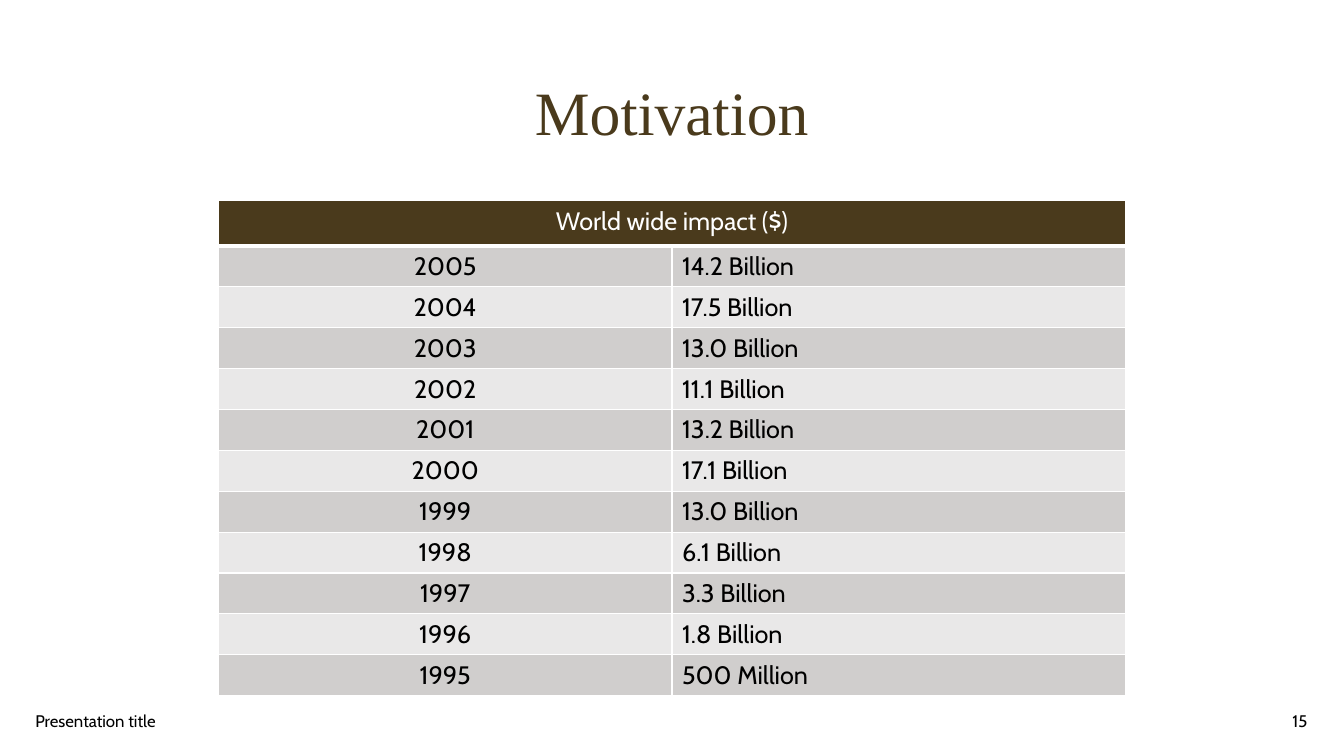
from lxml.etree import SubElement
from pptx import Presentation
from pptx.dml.color import RGBColor
from pptx.enum.text import MSO_ANCHOR as Anchor, PP_ALIGN as Align
from pptx.oxml.ns import qn
from pptx.util import Cm, Pt

TITLE = "Motivation"
FOOTER = "Presentation title"
SLIDE_NUMBER = "15"
TABLE_HEADER = "World wide impact ($)"
IMPACT_BY_YEAR = [
    ("2005", "14.2 Billion"),
    ("2004", "17.5 Billion"),
    ("2003", "13.0 Billion"),
    ("2002", "11.1 Billion"),
    ("2001", "13.2 Billion"),
    ("2000", "17.1 Billion"),
    ("1999", "13.0 Billion"),
    ("1998", "6.1 Billion"),
    ("1997", "3.3 Billion"),
    ("1996", "1.8 Billion"),
    ("1995", "500 Million"),
]

BROWN = RGBColor(0x4A, 0x3A, 0x1C)
DARK_BAND = RGBColor(0xD0, 0xCE, 0xCD)
LIGHT_BAND = RGBColor(0xE9, 0xE8, 0xE8)
BLACK = RGBColor(0, 0, 0)
WHITE = RGBColor(0xFF, 0xFF, 0xFF)

SLIDE_WIDTH, SLIDE_HEIGHT = Cm(33.87), Cm(19.05)
COLUMN_WIDTH = Cm(11.43)
HEADER_HEIGHT, ROW_HEIGHT = Cm(1.14), Cm(1.03)
TABLE_TOP = Cm(5.06)
FOOTER_TOP, FOOTER_HEIGHT = Cm(17.65), Cm(1.02)


def write(frame, text, size=18, font="Cabin", color=BLACK, align=Align.LEFT, spacing=1.0):
    paragraph = frame.paragraphs[0]
    paragraph.alignment = align
    paragraph.line_spacing = spacing
    run = paragraph.add_run()
    run.text = text
    run.font.size = Pt(size)
    run.font.name = font
    run.font.color.rgb = color


def add_text(slide, text, left, top, width, height, **text_format):
    frame = slide.shapes.add_textbox(left, top, width, height).text_frame
    frame.word_wrap = True
    frame.vertical_anchor = Anchor.MIDDLE
    write(frame, text, **text_format)


def style_cell(cell, fill, bottom_width=1):
    """Give a cell white borders and a solid fill."""
    properties = cell._tc.get_or_add_tcPr()
    for side, width in (("L", 1), ("R", 1), ("T", 1), ("B", bottom_width)):
        line = SubElement(properties, qn(f"a:ln{side}"), w=str(Pt(width)))
        SubElement(SubElement(line, qn("a:solidFill")), qn("a:srgbClr"), val=str(WHITE))
    cell.fill.solid()
    cell.fill.fore_color.rgb = fill


def add_impact_table(slide):
    row_count = len(IMPACT_BY_YEAR) + 1
    table = slide.shapes.add_table(
        row_count, 2, (SLIDE_WIDTH - 2 * COLUMN_WIDTH) // 2, TABLE_TOP,
        2 * COLUMN_WIDTH, HEADER_HEIGHT + ROW_HEIGHT * len(IMPACT_BY_YEAR)).table
    for column in table.columns:
        column.width = COLUMN_WIDTH
    for index, row in enumerate(table.rows):
        row.height = ROW_HEIGHT if index else HEADER_HEIGHT

    for cell in table.rows[0].cells:
        style_cell(cell, BROWN, bottom_width=3)
    header = table.cell(0, 0)
    header.merge(table.cell(0, 1))
    write(header.text_frame, TABLE_HEADER, color=WHITE, align=Align.CENTER)

    for index, values in enumerate(IMPACT_BY_YEAR, start=1):
        for column, (text, align) in enumerate(zip(values, (Align.CENTER, Align.LEFT))):
            cell = table.cell(index, column)
            style_cell(cell, DARK_BAND if index % 2 else LIGHT_BAND)
            write(cell.text_frame, text, align=align)


def main():
    presentation = Presentation()
    presentation.slide_width, presentation.slide_height = SLIDE_WIDTH, SLIDE_HEIGHT
    slide = presentation.slides.add_slide(presentation.slide_layouts[6])
    add_text(slide, TITLE, Cm(2.33), Cm(1.07), Cm(29.21), Cm(3.68), size=44,
             font="Times New Roman", color=BROWN, align=Align.CENTER, spacing=0.9)
    add_impact_table(slide)
    add_text(slide, FOOTER, Cm(0.64), FOOTER_TOP, Cm(11.43), FOOTER_HEIGHT, size=12)
    add_text(slide, SLIDE_NUMBER, Cm(25.58), FOOTER_TOP, Cm(7.62), FOOTER_HEIGHT,
             size=12, align=Align.RIGHT)
    presentation.save("out.pptx")


if __name__ == "__main__":
    main()
